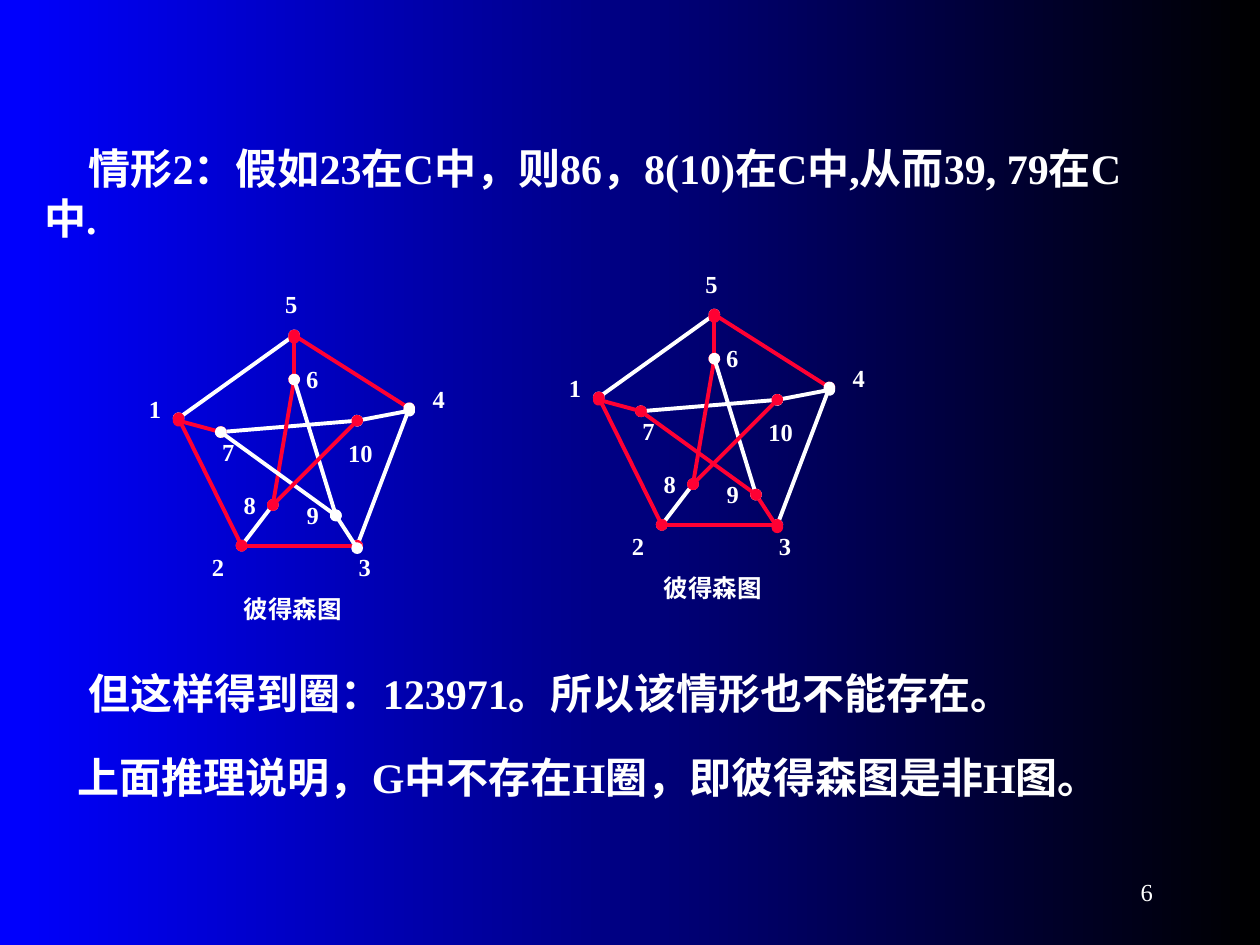
from lxml import etree
from pptx import Presentation
from pptx import util as u
from pptx.dml.color import RGBColor
from pptx.enum import shapes, text
from pptx.oxml.ns import qn

WHITE, RED, BLUE, BLACK = "FFFFFF", "FF0033", "0000FF", "000000"
VERTICES = {
    1: (3.6, 8.43), 2: (4.87, 11), 3: (7.2, 11), 4: (8.25, 8.23), 5: (5.93, 6.76),
    6: (5.93, 7.65), 7: (4.45, 8.71), 8: (5.5, 10.18), 9: (6.77, 10.39), 10: (7.2, 8.48),
}
EDGES = [(8, 2), (7, 10), (5, 1), (5, 4), (1, 2), (4, 3), (2, 3), (5, 6),
         (1, 7), (10, 4), (9, 3), (6, 8), (6, 9), (7, 9), (10, 8)]
DROPPED_ENDS = {(5, 6): 5, (1, 7): 1, (10, 4): 4, (9, 3): 3}
LABELS = {
    1: (2.75, 7.82), 2: (4.02, 11), 3: (6.98, 11), 4: (8.47, 7.62), 5: (5.5, 5.71),
    6: (5.92, 7.21), 7: (4.23, 8.68), 8: (4.66, 9.75), 9: (5.93, 9.95), 10: (6.77, 8.71),
}
FIRST_CYCLE = {(5, 4), (1, 2), (2, 3), (5, 6), (1, 7), (6, 8), (10, 8)}
SECOND_CYCLE = FIRST_CYCLE | {(9, 3), (7, 9)}


def rgb(value):
    """Turn a hex string into a colour."""
    return RGBColor.from_string(value)


def set_background(s):
    """Fill the slide with a gradient from blue to black."""
    fill = s.background.fill
    fill.gradient()
    fill.gradient_angle = 0
    for stop, value, position in zip(fill.gradient_stops, (BLUE, BLACK), (0, 1)):
        stop.color.rgb = rgb(value)
        stop.position = position


def add_text(parent, words, x, y, w, h, size=14, bold=True, para=None, indent=0,
             anchor=text.MSO_ANCHOR.TOP):
    """Add a text box with one paragraph."""
    sp = parent.shapes.add_textbox(u.Cm(x), u.Cm(y), u.Cm(w), u.Cm(h))
    tf = sp.text_frame
    tf.word_wrap, tf.vertical_anchor = True, anchor
    p = tf.paragraphs[0]
    for key, value in (para or {}).items():
        setattr(p, key, value)
    if indent:
        p._p.get_or_add_pPr().set("indent", str(u.Cm(indent)))
    r = p.add_run()
    r.text = words
    for key, value in {"size": u.Pt(size), "bold": bold, "name": "Times New Roman"}.items():
        setattr(r.font, key, value)
    r.font.color.rgb = rgb(WHITE)


def add_statement(s, words, x, y, w, h):
    """Add a large paragraph with an indented first line."""
    add_text(s, words, x, y, w, h, size=24, para={"space_before": u.Pt(15)}, indent=0.9)


def add_edge(parent, start, end, color):
    """Add a line with a round dot at both ends."""
    cxn = parent.shapes.add_connector(
        shapes.MSO_CONNECTOR.STRAIGHT, *(u.Cm(v) for v in (*start, *end)))
    cxn.line.width = u.Pt(2.25)
    cxn.line.color.rgb = rgb(color)
    for tag in ("a:headEnd", "a:tailEnd"):
        etree.SubElement(cxn.line._get_or_add_ln(), qn(tag), type="oval")
    etree.SubElement(cxn._element.spPr, qn("a:effectLst"))


def add_petersen_graph(s, dx, dy, cycle):
    """Draw the graph shifted by dx and dy, with the cycle edges in red."""
    group = s.shapes.add_group_shape()
    for edge in EDGES:
        ends = []
        for vertex in edge:
            x, y = VERTICES[vertex]
            drop = 0.05 if DROPPED_ENDS.get(edge) == vertex else 0
            ends.append((x + dx, y + dy + drop))
        add_edge(group, *ends, RED if edge in cycle else WHITE)
    for vertex, (x, y) in LABELS.items():
        add_text(group, str(vertex), x + dx, y + dy, 1.27 if vertex > 9 else 0.89, 0.86)
    add_text(group, "彼得森图", 4.66 + dx, 11.85 + dy, 3.18, 0.86)


def main():
    """Build the slide and save it."""
    prs = Presentation()
    prs.slide_width, prs.slide_height = u.Cm(25.4), u.Cm(19.05)
    s = prs.slides.add_slide(prs.slide_layouts[6])
    set_background(s)
    add_text(s, "6", 18.2, 17.35, 5.29, 1.27, bold=False,
             para={"alignment": text.PP_ALIGN.RIGHT}, anchor=text.MSO_ANCHOR.MIDDLE)
    add_statement(s, "情形2：假如23在C中，则86，8(10)在C中,从而39, 79在C中.",
                  0.64, 2.75, 22.65, 2.46)
    add_petersen_graph(s, 0, 0, FIRST_CYCLE)
    add_petersen_graph(s, 8.47, -0.42, SECOND_CYCLE)
    add_statement(s, "但这样得到圈：123971。所以该情形也不能存在。", 0.64, 13.34, 22.44, 1.45)
    add_statement(s, "上面推理说明，G中不存在H圈，即彼得森图是非H图。", 0.42, 15.03, 22.44, 1.45)
    prs.save("out.pptx")


if __name__ == "__main__":
    main()
